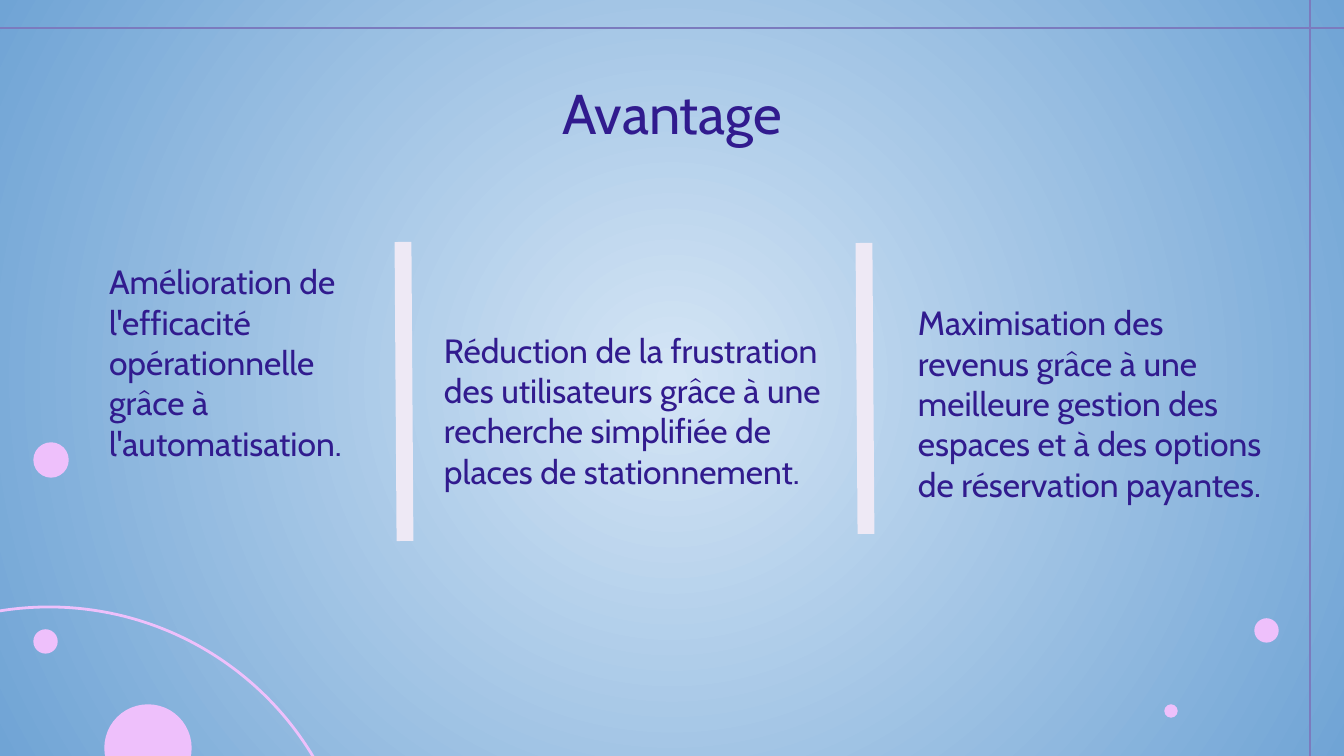
from lxml import etree
from pptx import Presentation
from pptx.dml.color import RGBColor
from pptx.enum.shapes import MSO_CONNECTOR, MSO_SHAPE
from pptx.enum.text import MSO_ANCHOR, PP_ALIGN
from pptx.oxml.ns import qn
from pptx.util import Pt

STRAIGHT = MSO_CONNECTOR.STRAIGHT
OVAL = MSO_SHAPE.OVAL
TOP, BOTTOM = MSO_ANCHOR.TOP, MSO_ANCHOR.BOTTOM
LEFT, CENTER = PP_ALIGN.LEFT, PP_ALIGN.CENTER

EMU_PER_PX = 914400 / 134.4
WIDTH, HEIGHT = 1344, 756
FONT = "Cabin"
COLORS = {
    "glow": "D4E5F5",
    "edge": "70A4D5",
    "frame": "7B7BBE",
    "bubble": "EEC0FB",
    "divider": "EEE9F5",
    "text": "311B8E",
}


def px(*lengths):
    return [round(length * EMU_PER_PX) for length in lengths]


def rgb(name):
    return RGBColor.from_string(COLORS[name])


def write(frame, text, size=18, color="text", align=LEFT, anchor=BOTTOM):
    frame.word_wrap = True
    frame.vertical_anchor = anchor
    paragraph = frame.paragraphs[0]
    paragraph.alignment = align
    run = paragraph.add_run()
    run.text = text
    run.font.name = FONT
    run.font.size = Pt(size)
    run.font.color.rgb = rgb(color)


class SlideBuilder:
    def __init__(self, slide):
        self.slide = slide

    def radial_background(self, inner, outer):
        fill = self.slide.background.fill
        fill.gradient()
        for stop, color in zip(fill.gradient_stops, (inner, outer)):
            stop.color.rgb = rgb(color)
        gradient = self.slide.element.xpath(".//p:bg//a:gradFill")[0]
        gradient.remove(gradient.find(qn("a:lin")))
        circle = etree.SubElement(gradient, qn("a:path"), path="circle")
        etree.SubElement(circle, qn("a:fillToRect"),
                         l="50000", t="50000", r="50000", b="50000")

    def line(self, x1, y1, x2, y2, color, weight):
        line = self.slide.shapes.add_connector(STRAIGHT, *px(x1, y1, x2, y2))
        line.line.color.rgb = rgb(color)
        line.line.width = Pt(weight)
        etree.SubElement(line.element.spPr, qn("a:effectLst"))

    def circle(self, left, top, diameter, color, weight=0.75, filled=True):
        circle = self.slide.shapes.add_shape(
            OVAL, *px(left, top, diameter, diameter))
        circle.shadow.inherit = False
        circle.line.color.rgb = rgb(color)
        circle.line.width = Pt(weight)
        if filled:
            circle.fill.solid()
            circle.fill.fore_color.rgb = rgb(color)
        else:
            circle.fill.background()

    def text(self, left, top, width, height, text, **style):
        box = self.slide.shapes.add_textbox(*px(left, top, width, height))
        frame = box.text_frame
        frame.margin_left = frame.margin_right = px(13)[0]
        frame.margin_top = frame.margin_bottom = px(13)[0]
        write(frame, text, **style)


def main():
    deck = Presentation()
    deck.slide_width, deck.slide_height = px(WIDTH, HEIGHT)
    page = SlideBuilder(deck.slides.add_slide(deck.slide_layouts[6]))

    page.radial_background("glow", "edge")
    page.line(1310, HEIGHT, 1310, 0, "frame", 1.5)
    page.line(0, 28, WIDTH, 28, "frame", 1.5)

    page.circle(-259, 607, 616, "bubble", weight=1.5, filled=False)
    bubbles = [(34, 630, 23), (105, 705, 86), (34, 443, 34),
               (1255, 619, 23), (1165, 705, 12)]
    for left, top, diameter in bubbles:
        page.circle(left, top, diameter, "bubble")

    page.text(106, 66, 1133, 85, "Avantage",
              size=30, align=CENTER, anchor=TOP)
    advantages = [
        (96, 215, 306, 261, "Amélioration de l'efficacité opérationnelle "
         "grâce à l'automatisation."),
        (431, 243, 413, 261, "Réduction de la frustration des utilisateurs "
         "grâce à une recherche simplifiée de places de stationnement."),
        (905, 239, 375, 278, "Maximisation des revenus grâce à une meilleure "
         "gestion des espaces et à des options de réservation payantes."),
    ]
    for left, top, width, height, advantage in advantages:
        page.text(left, top, width, height, advantage)

    for x, top, bottom in [(403, 242, 541), (864, 243, 534)]:
        page.line(x, top, x + 2, bottom, "divider", 9)

    deck.save("out.pptx")


if __name__ == "__main__":
    main()
